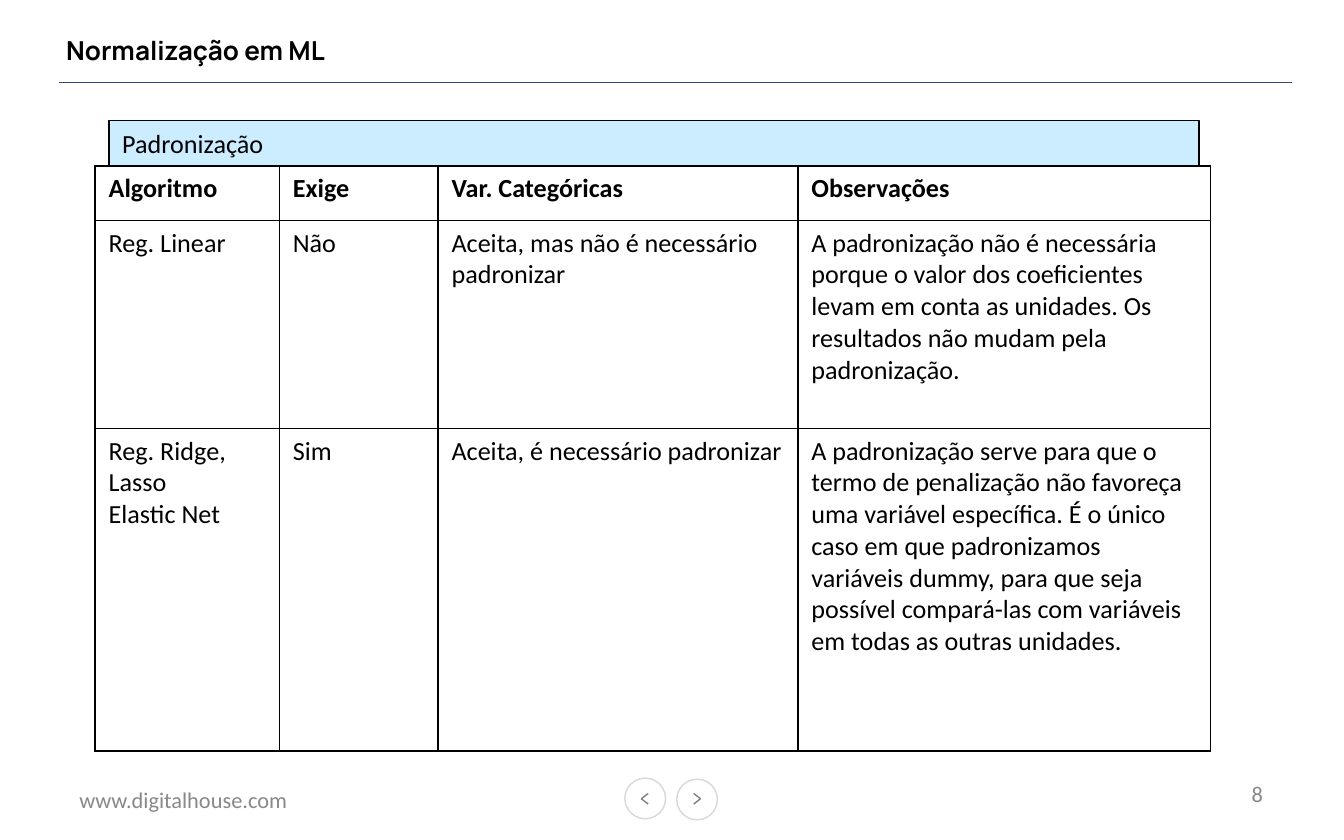
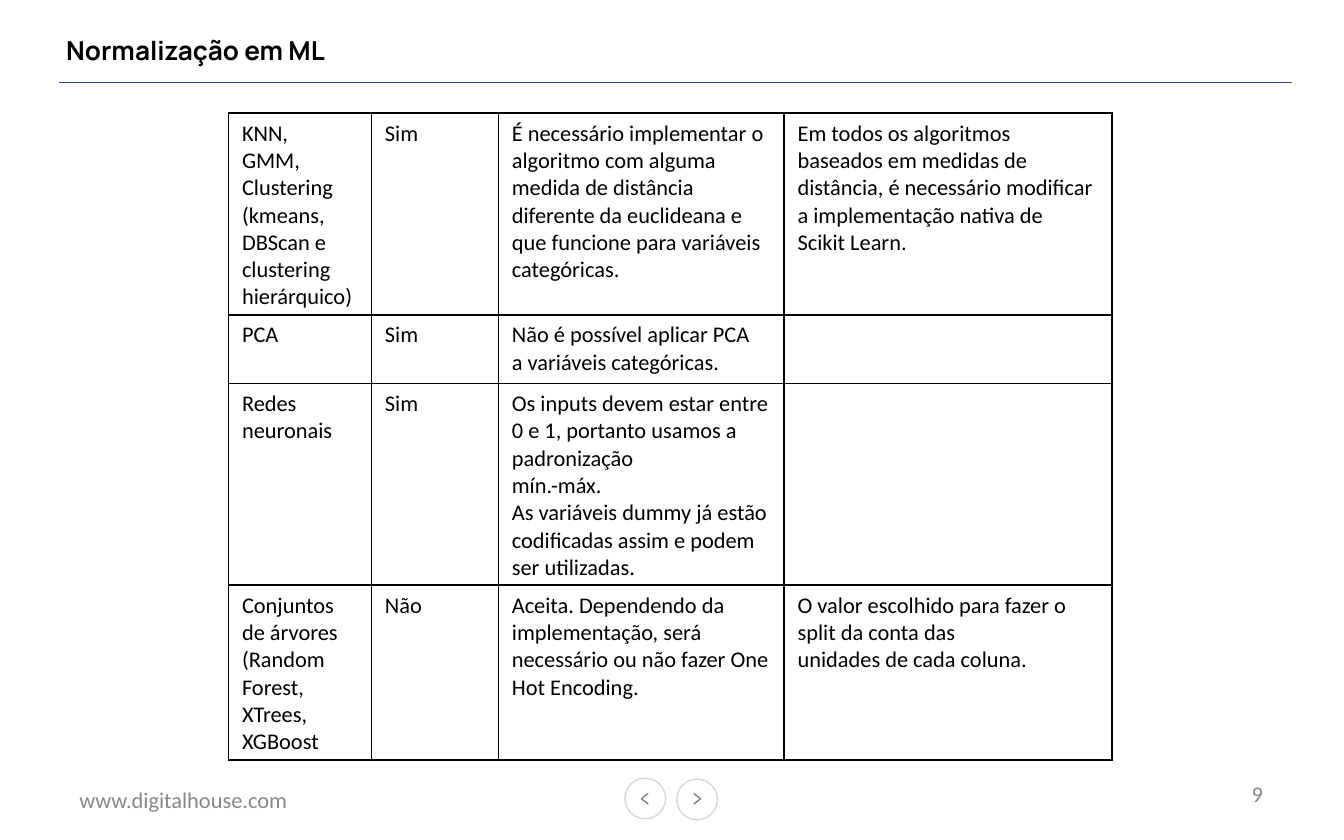
from dataclasses import dataclass

from lxml import etree
from pptx import Presentation
from pptx.dml.color import RGBColor
from pptx.enum.shapes import MSO_CONNECTOR, MSO_SHAPE
from pptx.enum.text import MSO_ANCHOR, MSO_AUTO_SIZE, PP_ALIGN
from pptx.oxml import parse_xml
from pptx.oxml.ns import nsdecls, qn
from pptx.util import Cm, Pt

LINE = MSO_CONNECTOR.STRAIGHT
RECT, OVAL = MSO_SHAPE.RECTANGLE, MSO_SHAPE.OVAL
TOP, MIDDLE = MSO_ANCHOR.TOP, MSO_ANCHOR.MIDDLE
LEFT, RIGHT = PP_ALIGN.LEFT, PP_ALIGN.RIGHT
GROW = MSO_AUTO_SIZE.SHAPE_TO_FIT_TEXT


@dataclass(frozen=True)
class Theme:
    ink: str = "000000"
    paper: str = "FFFFFF"
    rule: str = "304884"
    band: str = "CCECFF"
    ring: str = "D8D8D8"
    arrow: str = "7F7F7F"
    muted: str = "888888"
    head: str = "Manrope"
    body: str = "Calibri"
    large: int = 14
    small: int = 12
    thin: float = 0.75
    grid: float = 1


class Deck:
    """Holds the theme and the current slide; lengths are in centimetres."""

    def __init__(self, theme):
        self.theme = theme
        self.prs = Presentation()
        self.prs.slide_width, self.prs.slide_height = Cm(25.4), Cm(15.88)
        self.slide = None

    def style(self, frame, size, color=None, face=None, bold=False, align=LEFT):
        for para in frame.paragraphs:
            para.alignment = align
            font = para.font
            font.name, font.size, font.bold = face or self.theme.body, Pt(size), bold
            font.color.rgb = RGBColor.from_string(color or self.theme.ink)

    def text(self, words, x, y, w, h, size, pad=True, **look):
        frame = self.slide.shapes.add_textbox(Cm(x), Cm(y), Cm(w), Cm(h)).text_frame
        frame.word_wrap = True
        frame.vertical_anchor = MIDDLE
        if not pad:
            frame.margin_left = frame.margin_right = 0
            frame.margin_top = frame.margin_bottom = 0
        frame.text = words
        self.style(frame, size, **look)

    def shape(self, kind, x, y, w, h, fill, line):
        item = self.slide.shapes.add_shape(kind, Cm(x), Cm(y), Cm(w), Cm(h))
        item.shadow.inherit = False
        item.fill.solid()
        item.fill.fore_color.rgb = RGBColor.from_string(fill)
        item.line.color.rgb = RGBColor.from_string(line)
        item.line.width = Pt(self.theme.thin)
        return item

    def line(self, x1, y1, x2, y2, color):
        item = self.slide.shapes.add_connector(LINE, Cm(x1), Cm(y1), Cm(x2), Cm(y2))
        item.line.color.rgb = RGBColor.from_string(color)
        item.line.width = Pt(self.theme.thin)
        etree.SubElement(item._element.spPr, qn("a:effectLst"))

    def band(self, words, x, y, w, h):
        item = self.shape(RECT, x, y, w, h, self.theme.band, self.theme.ink)
        frame = item.text_frame
        frame.word_wrap = True
        frame.auto_size = GROW
        frame.vertical_anchor = TOP
        frame.text = words
        self.style(frame, self.theme.large)

    def border(self, cell):
        props = cell._tc.get_or_add_tcPr()
        for side in ("lnL", "lnR", "lnT", "lnB"):
            props.append(parse_xml(
                f'<a:{side} {nsdecls("a")} w="{Pt(self.theme.grid)}"><a:solidFill>'
                f'<a:srgbClr val="{self.theme.ink}"/></a:solidFill></a:{side}>'))

    def table(self, rows, x, y, widths, heights, size, header=False):
        grid = self.slide.shapes.add_table(
            len(rows), len(widths), Cm(x), Cm(y),
            Cm(sum(widths)), Cm(sum(heights))).table
        grid.first_row = header
        grid.horz_banding = False
        for col, width in zip(grid.columns, widths):
            col.width = Cm(width)
        for r, (row, height) in enumerate(zip(rows, heights)):
            grid.rows[r].height = Cm(height)
            for c, words in enumerate(row):
                cell = grid.cell(r, c)
                self.border(cell)
                cell.fill.solid()
                cell.fill.fore_color.rgb = RGBColor.from_string(self.theme.paper)
                cell.text = words
                self.style(cell.text_frame, size, bold=header and r == 0)

    def button(self, x, y, tip, back):
        """Round button with a chevron that points from back to tip."""
        self.shape(OVAL, x, y, 0.77, 0.77, self.theme.paper, self.theme.ring)
        for rise in (-0.1, 0.1):
            self.line(tip, 15.1, back, 15.1 + rise, self.theme.arrow)

    def page(self, title, number):
        """New slide with the shared title, rule and footer."""
        t = self.theme
        self.slide = self.prs.slides.add_slide(self.prs.slide_layouts[6])
        self.line(24.41, 1.56, 1.12, 1.56, t.rule)
        self.text("www.digitalhouse.com", 1.25, 14.73, 5.92, 0.76, t.small,
                  color=t.muted)
        self.button(11.81, 14.71, 12.12, 12.25)
        self.button(12.79, 14.73, 13.24, 13.11)
        self.text(title, 1.25, 0.41, 16.95, 1.09, t.large, pad=False,
                  face=t.head, bold=True)
        self.text(str(number), 18.2, 14.58, 5.92, 0.84, t.small,
                  color=t.muted, align=RIGHT)


# Table contents: \n starts a paragraph, \v breaks a line
BASIC = [
    ("Algoritmo", "Exige", "Var. Categóricas", "Observações"),
    ("Reg. Linear", "Não", "Aceita, mas não é necessário padronizar",
     "A padronização não é necessária porque o valor dos coeficientes levam em "
     "conta as unidades. Os resultados não mudam pela padronização."),
    ("Reg. Ridge,\nLasso\nElastic Net", "Sim", "Aceita, é necessário padronizar",
     "A padronização serve para que o termo de penalização não favoreça uma "
     "variável específica. É o único caso em que padronizamos variáveis dummy, "
     "para que seja possível compará-las com variáveis em todas as outras "
     "unidades."),
]
MORE = [
    ("KNN,\nGMM,\nClustering\n(kmeans,\nDBScan e\nclustering\nhierárquico)", "Sim",
     "É necessário implementar o algoritmo com alguma medida de distância \v"
     "diferente da euclideana e que funcione para variáveis categóricas.",
     "Em todos os algoritmos \vbaseados em medidas de distância, é necessário "
     "modificar \va implementação nativa de \vScikit Learn."),
    ("PCA", "Sim", "Não é possível aplicar PCA \va variáveis categóricas.", ""),
    ("Redes\nneuronais", "Sim",
     "Os inputs devem estar entre 0 e 1, portanto usamos a padronização \v"
     "mín.-máx.\nAs variáveis dummy já estão codificadas assim e podem ser "
     "utilizadas.", ""),
    ("Conjuntos\nde árvores\n(Random\nForest,\nXTrees,\nXGBoost", "Não",
     "Aceita. Dependendo da \vimplementação, será necessário ou não fazer One "
     "Hot Encoding.",
     "O valor escolhido para fazer o split da conta das \v"
     "unidades de cada coluna."),
]
TITLE = "Normalização em ML"


def main():
    theme = Theme()
    deck = Deck(theme)

    # Linear models
    deck.page(TITLE, 8)
    deck.table(BASIC, 1.8, 3.14, (3.48, 3, 6.8, 7.8), (1.03, 3.93, 6.1),
               theme.large, header=True)
    deck.band("Padronização", 2.06, 2.28, 20.6, 0.86)

    # Other algorithms
    deck.page(TITLE, 9)
    deck.table(MORE, 4.32, 2.14, (2.7, 2.4, 5.4, 6.2), (3.81, 1.3, 3.73, 3.25),
               theme.small)

    deck.prs.save("out.pptx")


if __name__ == "__main__":
    main()
